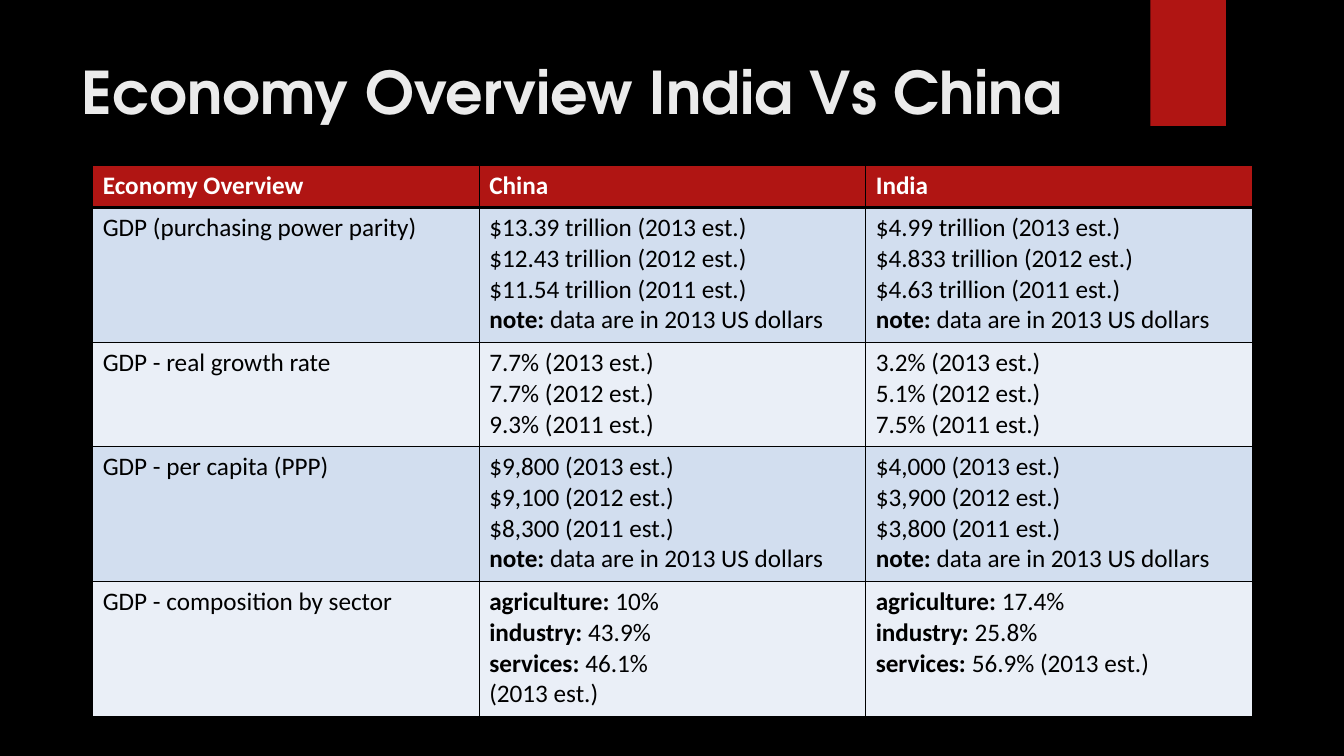
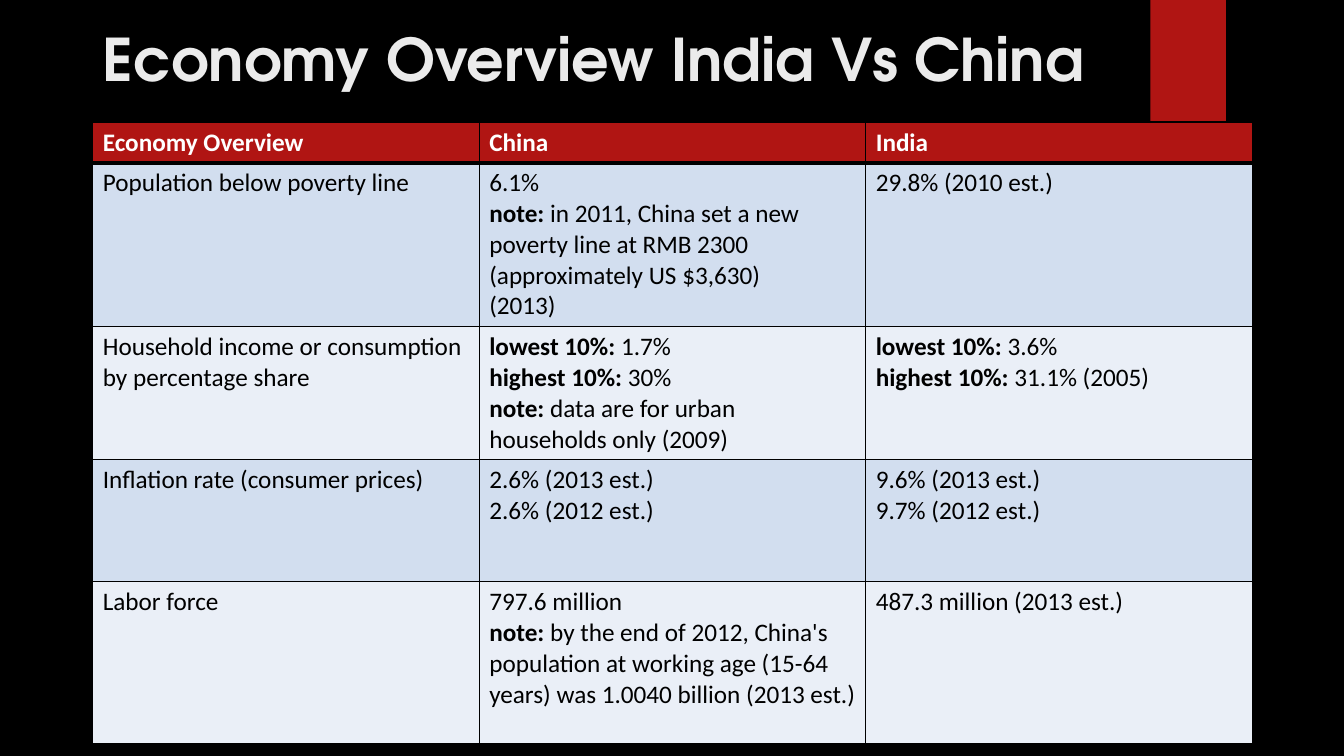
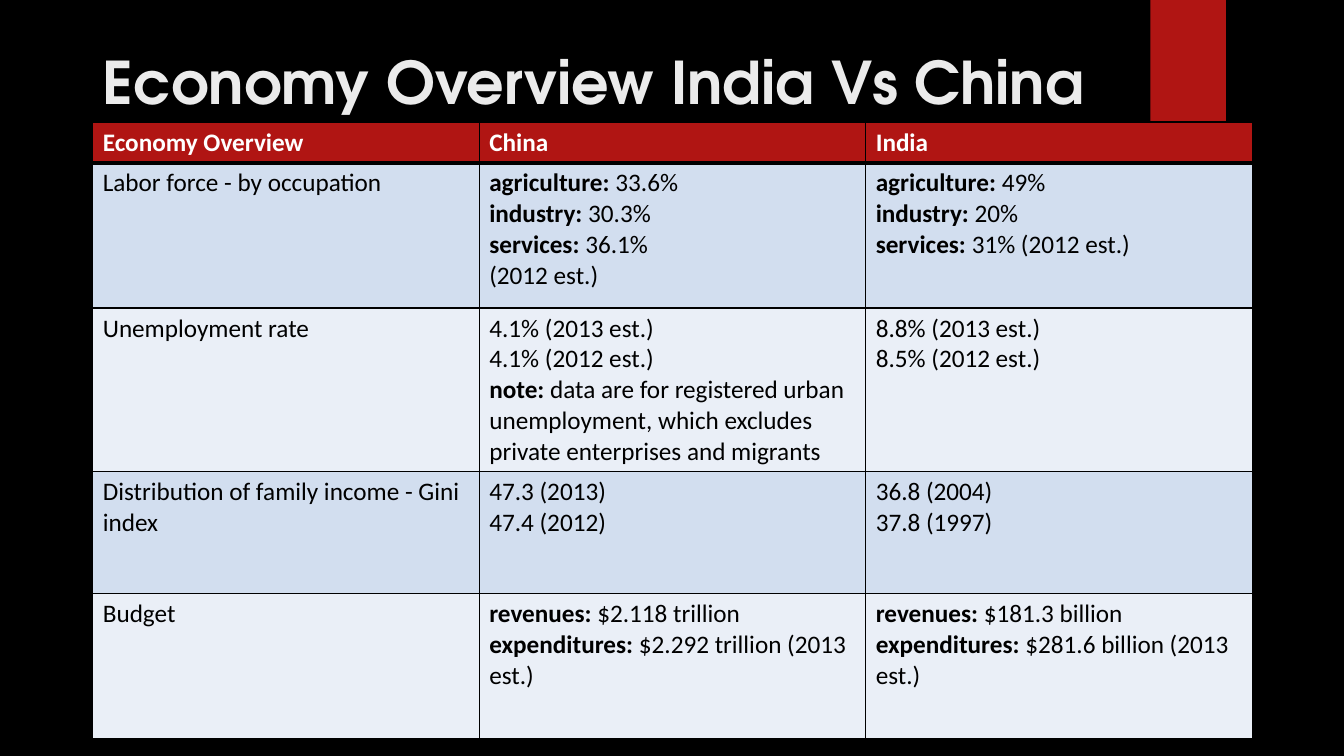
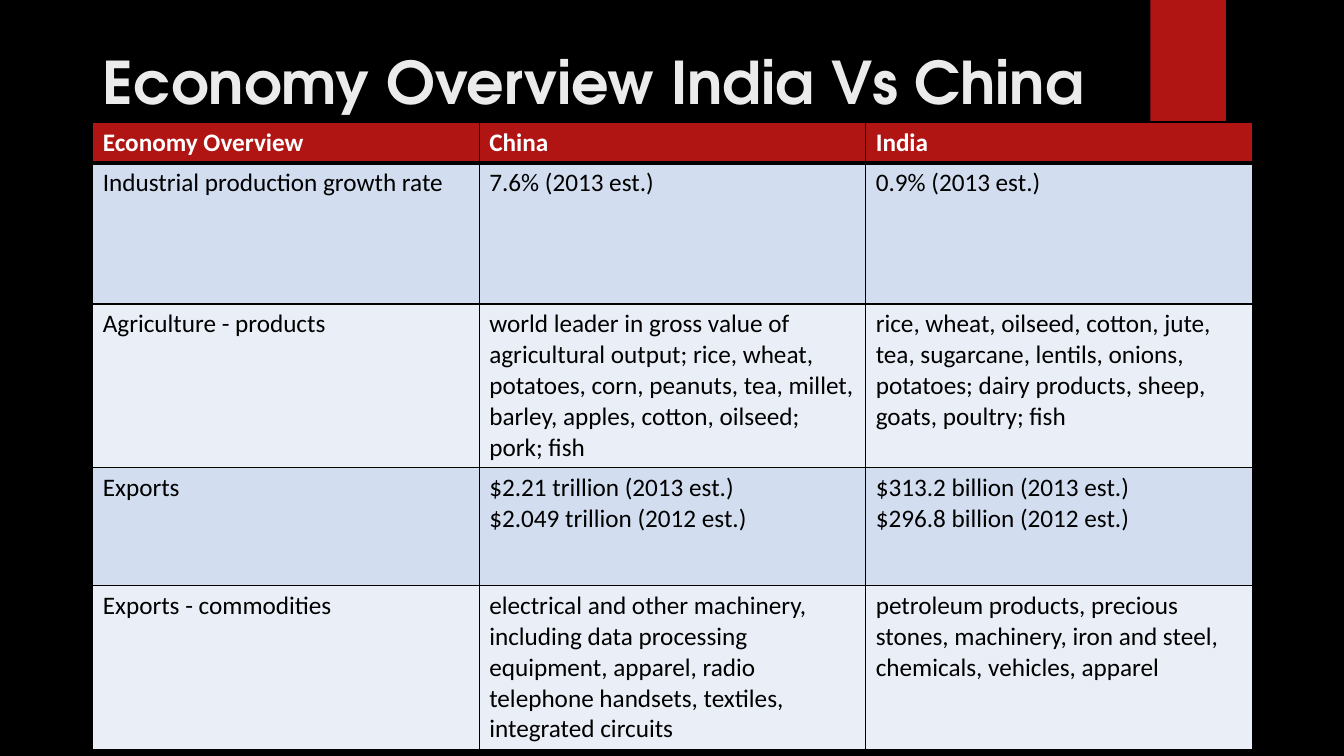
"""Build four slides that compare the economies of India and China."""

from dataclasses import dataclass
from typing import Any

from lxml.etree import SubElement
from pptx import Presentation
from pptx.dml.color import RGBColor
from pptx.enum.shapes import MSO_SHAPE as Shape
from pptx.enum.text import MSO_ANCHOR as Anchor, MSO_AUTO_SIZE as AutoSize, PP_ALIGN as Align
from pptx.oxml.ns import qn
from pptx.util import Inches, Pt


@dataclass(frozen=True)
class Theme:
    background: str = "000000"
    accent: str = "B01513"
    title: str = "EBEBEB"
    header_text: str = "FFFFFF"
    body_text: str = "000000"
    border: str = "000000"
    bands: tuple[str, str] = ("D2DEEF", "EAEFF7")
    title_font: str = "TeX Gyre Adventor"
    table_font: str = "Calibri"
    title_size: int = 42
    table_size: int = 18
    thin_border: int = 1
    thick_border: int = 3


@dataclass(frozen=True)
class Box:
    left: float
    top: float
    width: float
    height: float

    def lengths(self) -> tuple[int, int, int, int]:
        return Inches(self.left), Inches(self.top), Inches(self.width), Inches(self.height)


@dataclass(frozen=True)
class Indicator:
    name: str
    china: str
    india: str
    height: float


@dataclass(frozen=True)
class EconomySlide:
    title_box: Box
    table_top: float
    header_height: float
    indicators: tuple[Indicator, ...]


THEME = Theme()
TITLE = "Economy Overview India Vs China"
HEADER = ("Economy Overview", "China", "India")
RIBBON = Box(11.41, 0, 0.75, 1.25)
TABLE_LEFT, TABLE_WIDTH = 0.92, 11.5
LOW_TITLE = Box(0.92, 0.4, 11.5, 0.81)

SLIDES = (
    EconomySlide(Box(0.71, 0.5, 10.29, 1.53), 1.64, 0.42, (
        Indicator(
            "GDP (purchasing power parity)",
            "$13.39 trillion (2013 est.)\n$12.43 trillion (2012 est.)\n"
            "$11.54 trillion (2011 est.)\nnote: data are in 2013 US dollars",
            "$4.99 trillion (2013 est.)\n$4.833 trillion (2012 est.)\n"
            "$4.63 trillion (2011 est.)\nnote: data are in 2013 US dollars",
            1.34),
        Indicator(
            "GDP - real growth rate",
            "7.7% (2013 est.)\n7.7% (2012 est.)\n9.3% (2011 est.)",
            "3.2% (2013 est.)\n5.1% (2012 est.)\n7.5% (2011 est.)",
            1.03),
        Indicator(
            "GDP - per capita (PPP)",
            "$9,800 (2013 est.)\n$9,100 (2012 est.)\n$8,300 (2011 est.)\n"
            "note: data are in 2013 US dollars",
            "$4,000 (2013 est.)\n$3,900 (2012 est.)\n$3,800 (2011 est.)\n"
            "note: data are in 2013 US dollars",
            1.34),
        Indicator(
            "GDP - composition by sector",
            "agriculture: 10%\nindustry: 43.9%\nservices: 46.1%\n(2013 est.)",
            "agriculture: 17.4%\nindustry: 25.8%\nservices: 56.9% (2013 est.)",
            1.34),
    )),
    EconomySlide(Box(0.92, 0.18, 11.5, 0.81), 1.21, 0.4, (
        Indicator(
            "Population below poverty line",
            "6.1%\nnote: in 2011, China set a new poverty line at RMB 2300 "
            "(approximately US $3,630)\n(2013)",
            "29.8% (2010 est.)",
            1.6),
        Indicator(
            "Household income or consumption by percentage share",
            "lowest 10%: 1.7%\nhighest 10%: 30%\n"
            "note: data are for urban households only (2009)",
            "lowest 10%: 3.6%\nhighest 10%: 31.1% (2005)",
            1.3),
        Indicator(
            "Inflation rate (consumer prices)",
            "2.6% (2013 est.)\n2.6% (2012 est.)",
            "9.6% (2013 est.)\n9.7% (2012 est.)",
            1.21),
        Indicator(
            "Labor force",
            "797.6 million\nnote: by the end of 2012, China's population at "
            "working age (15-64 years) was 1.0040 billion (2013 est.)",
            "487.3 million (2013 est.)",
            1.6),
    )),
    EconomySlide(LOW_TITLE, 1.21, 0.4, (
        Indicator(
            "Labor force - by occupation",
            "agriculture: 33.6%\nindustry: 30.3%\nservices: 36.1%\n(2012 est.)",
            "agriculture: 49%\nindustry: 20%\nservices: 31% (2012 est.)",
            1.44),
        Indicator(
            "Unemployment rate",
            "4.1% (2013 est.)\n4.1% (2012 est.)\nnote: data are for registered urban "
            "unemployment, which excludes private enterprises and migrants",
            "8.8% (2013 est.)\n8.5% (2012 est.)",
            1.6),
        Indicator(
            "Distribution of family income - Gini index",
            "47.3 (2013)\n47.4 (2012)",
            "36.8 (2004)\n37.8 (1997)",
            1.21),
        Indicator(
            "Budget",
            "revenues: $2.118 trillion\nexpenditures: $2.292 trillion (2013 est.)",
            "revenues: $181.3 billion\nexpenditures: $281.6 billion (2013 est.)",
            1.44),
    )),
    EconomySlide(LOW_TITLE, 1.21, 0.4, (
        Indicator("Industrial production growth rate", "7.6% (2013 est.)", "0.9% (2013 est.)", 1.4),
        Indicator(
            "Agriculture - products",
            "world leader in gross value of agricultural output; rice, wheat, potatoes, "
            "corn, peanuts, tea, millet, barley, apples, cotton, oilseed; pork; fish",
            "rice, wheat, oilseed, cotton, jute, tea, sugarcane, lentils, onions, "
            "potatoes; dairy products, sheep, goats, poultry; fish",
            1.6),
        Indicator(
            "Exports",
            "$2.21 trillion (2013 est.)\n$2.049 trillion (2012 est.)",
            "$313.2 billion (2013 est.)\n$296.8 billion (2012 est.)",
            1.17),
        Indicator(
            "Exports - commodities",
            "electrical and other machinery, including data processing equipment, "
            "apparel, radio telephone handsets, textiles, integrated circuits",
            "petroleum products, precious stones, machinery, iron and steel, "
            "chemicals, vehicles, apparel",
            1.6),
    )),
)


def apply_format(target: Any, values: dict[str, Any]) -> None:
    for name, value in values.items():
        setattr(target, name, value)


def fill_solid(fill: Any, color: str) -> None:
    fill.solid()
    fill.fore_color.rgb = RGBColor.from_string(color)


def add_run(paragraph: Any, text: str, font: str, size: int, color: str, bold: bool) -> None:
    run = paragraph.add_run()
    run.text = text
    apply_format(run.font, {"name": font, "size": Pt(size), "bold": bold})
    run.font.color.rgb = RGBColor.from_string(color)


def draw_title(slide: Any, box: Box) -> None:
    title = slide.shapes.title
    apply_format(title, dict(zip(("left", "top", "width", "height"), box.lengths())))
    frame = title.text_frame
    apply_format(frame, {
        "word_wrap": True, "auto_size": AutoSize.NONE, "vertical_anchor": Anchor.TOP})
    paragraph = frame.paragraphs[0]
    paragraph.alignment = Align.LEFT
    add_run(paragraph, TITLE, THEME.title_font, THEME.title_size, THEME.title, True)


def draw_ribbon(slide: Any) -> None:
    ribbon = slide.shapes.add_shape(Shape.RECTANGLE, *RIBBON.lengths())
    ribbon.shadow.inherit = False
    fill_solid(ribbon.fill, THEME.accent)
    ribbon.line.fill.background()


def set_borders(cell: Any, top: int, bottom: int) -> None:
    properties = cell._tc.get_or_add_tcPr()
    thin = THEME.thin_border
    widths = {"a:lnL": thin, "a:lnR": thin, "a:lnT": top, "a:lnB": bottom}
    for position, (tag, width) in enumerate(widths.items()):
        line = SubElement(properties, qn(tag), w=str(Pt(width)))
        SubElement(SubElement(line, qn("a:solidFill")), qn("a:srgbClr"), val=THEME.border)
        properties.insert(position, line)


def write_cell(cell: Any, text: str, color: str, bold: bool) -> None:
    paragraph = cell.text_frame.paragraphs[0]
    for number, line in enumerate(text.split("\n")):
        if number:
            paragraph.add_line_break()
        label, colon, value = line.rpartition(":")
        for part, is_bold in ((label + colon, True), (value, bold)):
            if part:
                add_run(paragraph, part, THEME.table_font, THEME.table_size, color, is_bold)


def draw_table(slide: Any, content: EconomySlide) -> None:
    rows = [HEADER] + [(item.name, item.china, item.india) for item in content.indicators]
    heights = [content.header_height] + [item.height for item in content.indicators]
    box = Box(TABLE_LEFT, content.table_top, TABLE_WIDTH, sum(heights))
    table = slide.shapes.add_table(len(rows), len(HEADER), *box.lengths()).table
    table.horz_banding = False
    for column in table.columns:
        column.width = Inches(TABLE_WIDTH / len(HEADER))
    thin, thick = THEME.thin_border, THEME.thick_border
    for row_number, (texts, height) in enumerate(zip(rows, heights)):
        is_header = row_number == 0
        table.rows[row_number].height = Inches(height)
        fill = THEME.accent if is_header else THEME.bands[(row_number - 1) % 2]
        color = THEME.header_text if is_header else THEME.body_text
        for column_number, text in enumerate(texts):
            cell = table.cell(row_number, column_number)
            fill_solid(cell.fill, fill)
            set_borders(cell, thick if row_number == 1 else thin, thick if is_header else thin)
            write_cell(cell, text, color, is_header)


def main() -> None:
    presentation = Presentation()
    apply_format(presentation, {"slide_width": Inches(13.33), "slide_height": Inches(7.5)})
    fill_solid(presentation.slide_master.background.fill, THEME.background)
    title_only = presentation.slide_layouts.get_by_name("Title Only")
    for content in SLIDES:
        slide = presentation.slides.add_slide(title_only)
        draw_ribbon(slide)
        draw_title(slide, content.title_box)
        draw_table(slide, content)
    presentation.save("out.pptx")


if __name__ == "__main__":
    main()
